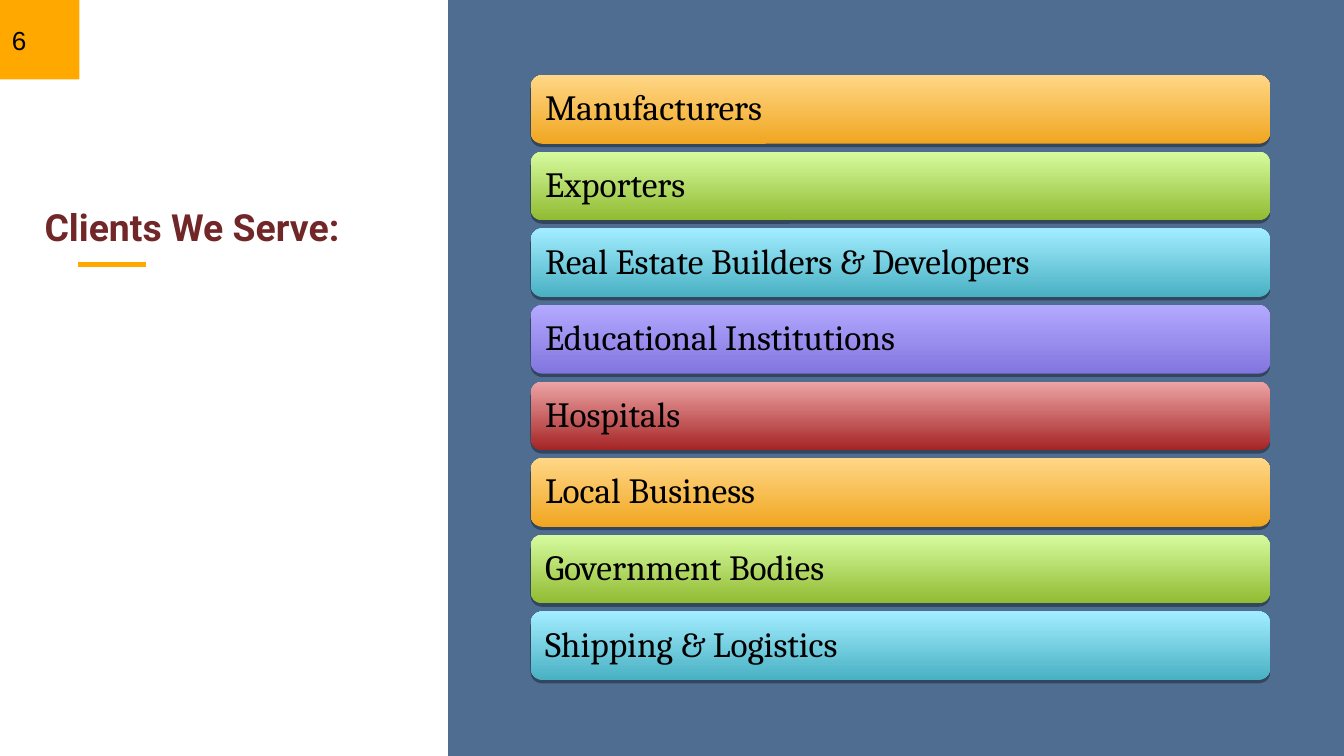
from lxml import etree
from pptx import Presentation
from pptx.dml.color import RGBColor
from pptx.enum.shapes import MSO_CONNECTOR, MSO_SHAPE
from pptx.enum.text import MSO_ANCHOR
from pptx.oxml.ns import qn
from pptx.util import Inches, Pt

RECT = MSO_SHAPE.RECTANGLE
ROUND = MSO_SHAPE.ROUNDED_RECTANGLE
LINE = MSO_CONNECTOR.STRAIGHT
MIDDLE, BOTTOM = MSO_ANCHOR.MIDDLE, MSO_ANCHOR.BOTTOM
WIDE = 10
HIGH = WIDE * 9 / 16
SPLIT = WIDE / 3
GOLD = "FFA800"
TONES = [("F0A621", "FFD786"), ("91BB32", "D6FB9F"), ("49B1C3", "A2EDFF"),
         ("8275DE", "B3A9FF"), ("A52425", "EDA4A5")]
CLIENTS = ["Manufacturers", "Exporters", "Real Estate Builders & Developers",
           "Educational Institutions", "Hospitals", "Local Business",
           "Government Bodies", "Shipping & Logistics"]


def color(code):
    """Turn a hex string into a colour."""
    return RGBColor.from_string(code)


def add_tag(node, name, **attrs):
    """Append a drawing element to a node."""
    return etree.SubElement(node, qn(name), attrs)


def add_form(shapes, kind, box):
    """Add a shape with no outline and no shadow."""
    form = shapes.add_shape(kind, *map(Inches, box))
    form.shadow.inherit = False
    form.line.fill.background()
    return form


def add_block(shapes, box, code):
    """Add a plain rectangle of one colour."""
    block = add_form(shapes, RECT, box)
    block.fill.solid()
    block.fill.fore_color.rgb = color(code)
    return block


def add_text(shapes, box, words, face, size, code="000000", bold=False,
             anchor=MIDDLE, inset=0.1):
    """Add a text box with one run and return its paragraph."""
    frame = shapes.add_textbox(*map(Inches, box)).text_frame
    frame.word_wrap = True
    frame.vertical_anchor = anchor
    frame.margin_left = frame.margin_right = Inches(inset)
    frame.margin_top = frame.margin_bottom = Inches(inset)
    para = frame.paragraphs[0]
    run = para.add_run()
    run.text = words
    font = run.font
    font.name, font.size, font.bold = face, Pt(size), bold
    font.color.rgb = color(code)
    return para


def add_bar(shapes, box, words, tones):
    """Add one grouped client bar with a gradient and a shadow."""
    left, top, width, height = box
    group = shapes.add_group_shape().shapes
    bar = add_form(group, ROUND, box)
    bar.adjustments[0] = 0.167
    bar.fill.gradient()
    bar.fill.gradient_angle = 90
    for stop, tone in zip(bar.fill.gradient_stops, tones):
        stop.color.rgb = color(tone)
    effects = bar._element.spPr.find(qn("a:effectLst"))
    shade = add_tag(effects, "a:outerShdw", dist=str(Pt(1.8)), dir="5400000",
                    rotWithShape="0")
    black = add_tag(shade, "a:srgbClr", val="000000")
    add_tag(black, "a:alpha", val="35000")
    pad = height * 0.05
    inner = left + pad, top + pad, width - 2 * pad, height - 2 * pad
    para = add_text(group, inner, words, "Cambria", 19, inset=0.08)
    para.line_spacing = 0.9
    para.space_after = Pt(8.2)


def add_panel(shapes, box):
    """Add the blue panel behind the client list."""
    panel = add_block(shapes, box, "325680")
    tint = panel._element.spPr.find(qn("a:solidFill"))[0]
    add_tag(tint, "a:alpha", val="86000")


def add_list(shapes, box):
    """Stack the client bars at equal steps down the box."""
    left, top, width, height = box
    gap = 0.06
    step = (height + gap) / len(CLIENTS)
    for row, words in enumerate(CLIENTS):
        spot = left, top + row * step, width, step - gap
        add_bar(shapes, spot, words, TONES[row % len(TONES)])


def add_side(shapes, box):
    """Add the page number, title and short rule on the left."""
    left, top, width, height = box
    rule_y = top + height * 0.35
    rule = shapes.add_connector(LINE, *map(Inches, (
        left + width * 0.175, rule_y, left + width * 0.325, rule_y)))
    rule.line.color.rgb = color(GOLD)
    rule.line.width = Pt(2.25)
    add_tag(rule._element.spPr, "a:effectLst")
    add_block(shapes, (left, top, 0.59, 0.59), GOLD)
    head = left + width * 0.07, top + 1.14, width * 0.87, 0.81
    add_text(shapes, head, "Clients We Serve:", "Roboto", 20, "712627",
             True, BOTTOM)
    add_text(shapes, (left - 0.01, top, 0.6, 0.59), "6", "Arial", 14)


def main():
    """Build the slide and save it."""
    deck = Presentation()
    deck.slide_width, deck.slide_height = Inches(WIDE), Inches(HIGH)
    shapes = deck.slides.add_slide(deck.slide_layouts[6]).shapes
    add_panel(shapes, (SPLIT, 0, WIDE - SPLIT, HIGH))
    add_side(shapes, (0, 0, SPLIT, HIGH))
    add_list(shapes, (3.95, 0.56, 5.5, 4.5))
    deck.save("out.pptx")


if __name__ == "__main__":
    main()
